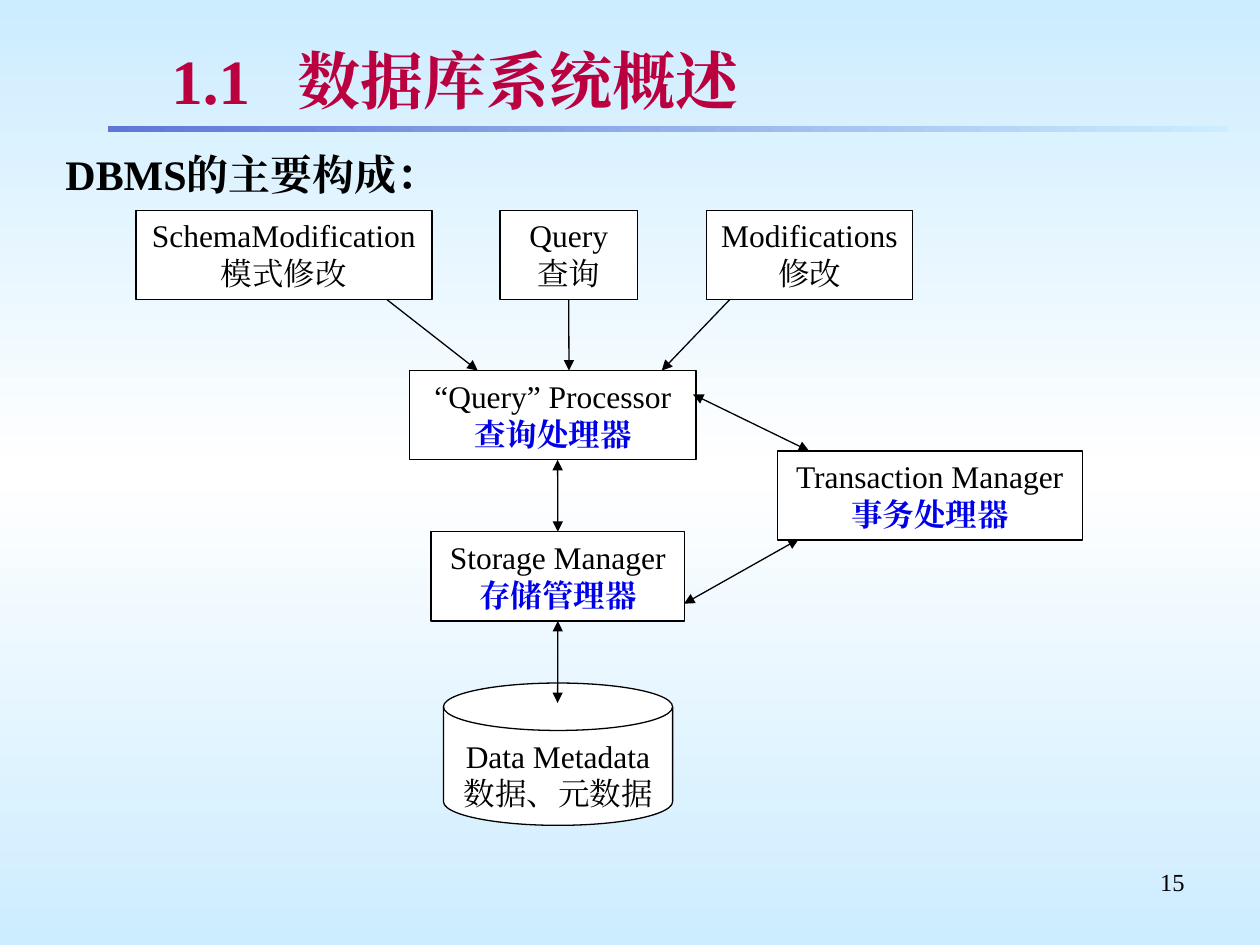
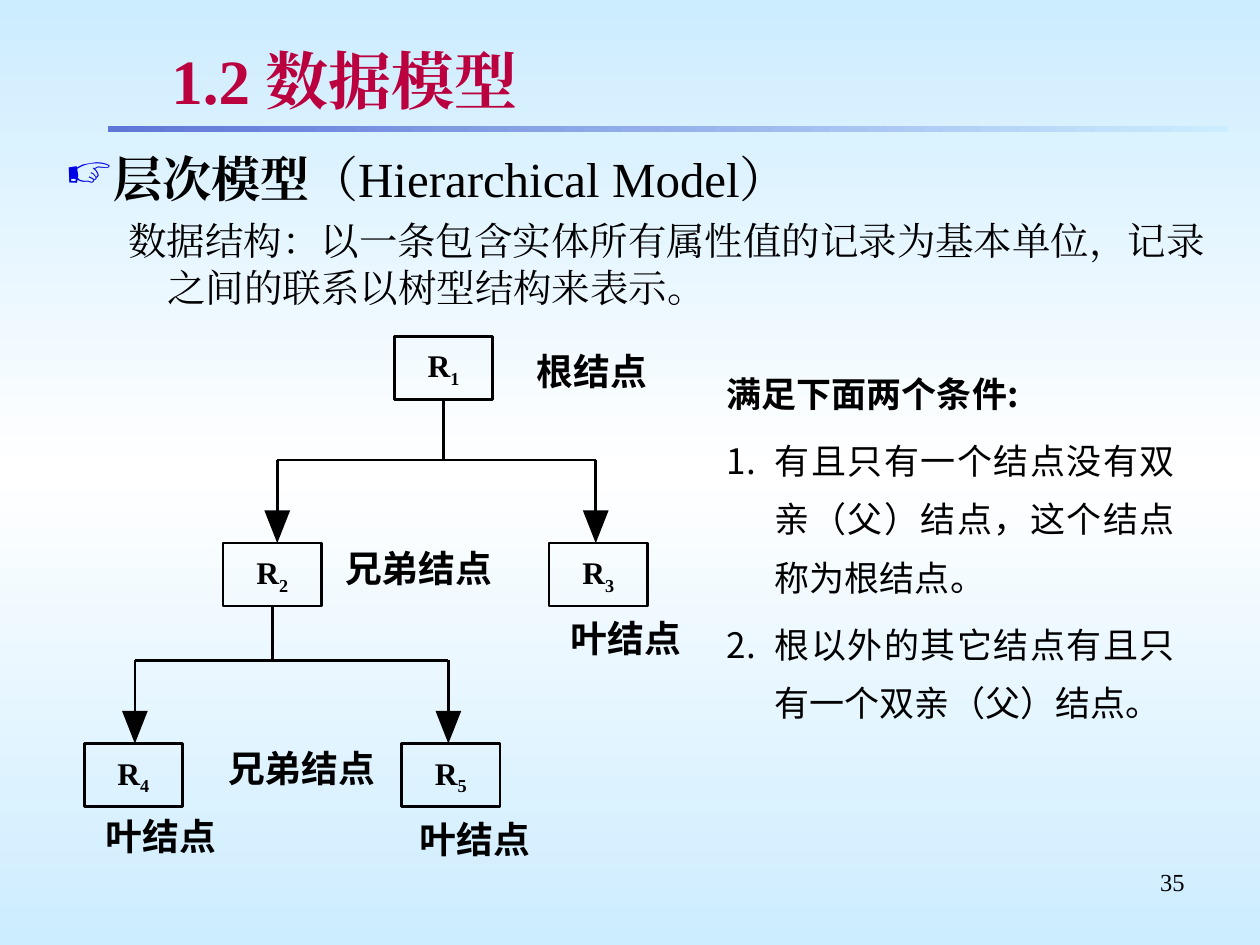
"""Build two database course slides: DBMS components and the hierarchical model."""
from lxml import etree
from pptx import Presentation
from pptx.dml.color import RGBColor
from pptx.enum import shapes, text
from pptx.oxml.ns import qn
from pptx.util import Cm, Pt

SERIF, SANS = "Times New Roman", "Noto Sans CJK SC"
BLACK, WHITE, BLUE, RED = "000000", "FFFFFF", "0000E8", "BA003E"
SKY, INDIGO = "CCECFF", "5F76D7"
RECT = shapes.MSO_SHAPE.RECTANGLE
DISK = shapes.MSO_SHAPE.FLOWCHART_MAGNETIC_DISK
ALIGN, ANCHOR = text.PP_ALIGN, text.MSO_ANCHOR


def rgb(code):
    """Turn a hex string into a colour."""
    return RGBColor.from_string(code)


def sub(root, tag, **attrs):
    """Append a DrawingML element and return it."""
    return etree.SubElement(root, qn("a:" + tag), attrs)


def grade(fill, root, angle, colors):
    """Fill with evenly spaced gradient stops."""
    fill.gradient()
    fill.gradient_angle = angle
    stops = next(root.iter(qn("a:gsLst")))
    for stop in list(stops):
        stops.remove(stop)
    for i, code in enumerate(colors):
        stop = sub(stops, "gs", pos=str(100000 * i // (len(colors) - 1)))
        sub(stop, "srgbClr", val=code)


def style(para, size, color=BLACK, bold=False, face=SERIF, align=None):
    """Set the alignment and font of a paragraph."""
    para.alignment = align
    font = para.font
    font.size, font.bold, font.name = Pt(size), bold, face
    font.color.rgb = rgb(color)
    props = para._p.get_or_add_pPr().find(qn("a:defRPr"))
    sub(props, "ea", typeface=face)


def hang(para, left, indent):
    """Give a paragraph a left margin and hanging indent, and return its properties."""
    props = para._p.get_or_add_pPr()
    props.set("marL", str(Cm(left)))
    props.set("indent", str(-Cm(indent)))
    return props


def add_box(slide, x, y, w, h, anchor=ANCHOR.TOP, pad=True):
    """Add a wrapping text box and return its frame."""
    frame = slide.shapes.add_textbox(Cm(x), Cm(y), Cm(w), Cm(h)).text_frame
    frame.word_wrap = True
    frame.vertical_anchor = anchor
    if not pad:
        frame.margin_left = frame.margin_right = 0
        frame.margin_top = frame.margin_bottom = 0
    return frame


def add_node(slide, x, y, w, h, kind=RECT, fill=WHITE, width=0.75):
    """Add an outlined shape."""
    node = slide.shapes.add_shape(kind, Cm(x), Cm(y), Cm(w), Cm(h))
    node.shadow.inherit = False
    if fill:
        node.fill.solid()
        node.fill.fore_color.rgb = rgb(fill)
    else:
        node.fill.background()
    node.line.color.rgb = rgb(BLACK)
    node.line.width = Pt(width)
    return node


def add_part(slide, x, y, w, name, label, key=False, h=1.8, kind=RECT):
    """Add a system part with its English and Chinese names."""
    part = add_node(slide, x, y, w, h, kind)
    frame = part.text_frame
    frame.vertical_anchor = ANCHOR.TOP
    frame.text = name + "\n" + label
    first, second = frame.paragraphs
    style(first, 18, align=ALIGN.CENTER)
    style(second, 18, BLUE if key else BLACK, key, align=ALIGN.CENTER)
    return part


def add_line(slide, x1, y1, x2, y2, head=False, tail=False, width=0.75):
    """Add a straight line with optional arrowheads."""
    line = slide.shapes.add_connector(
        shapes.MSO_CONNECTOR.STRAIGHT, Cm(x1), Cm(y1), Cm(x2), Cm(y2))
    line.line.color.rgb = rgb(BLACK)
    line.line.width = Pt(width)
    props = line._element.spPr
    for tag, shown in (("headEnd", head), ("tailEnd", tail)):
        if shown:
            sub(props.find(qn("a:ln")), tag, type="triangle")
    sub(props, "effectLst")
    return line


def add_record(slide, x, y, digit):
    """Add a tree record R with a subscript number."""
    node = add_node(slide, x, y, 1.98, 1.27, fill=None, width=1.5)
    node.text_frame.word_wrap = False
    para = node.text_frame.paragraphs[0]
    style(para, 18, bold=True, align=ALIGN.CENTER)
    para.add_run().text = "R"
    low = para.add_run()
    low.text = digit
    low._r.get_or_add_rPr().set("baseline", "-25000")
    return node


def add_tip(slide, x, y):
    """Add a solid arrow tip pointing down at a place."""
    left, right, top = Cm(x - 0.26), Cm(x + 0.26), Cm(y - 0.66)
    path = slide.shapes.build_freeform(left, top)
    path.add_line_segments([(Cm(x), Cm(y)), (right, top)])
    tip = path.convert_to_shape()
    tip.shadow.inherit = False
    tip.fill.solid()
    tip.fill.fore_color.rgb = rgb(BLACK)
    tip.line.fill.background()


def add_fork(slide, parent, bus, drops, end):
    """Join a parent record to its children through a horizontal bus."""
    mid = (parent.left + parent.width / 2) / Cm(1)
    base = (parent.top + parent.height) / Cm(1)
    trunk = add_line(slide, mid, base, mid, bus, width=1.5)
    trunk.begin_connect(parent, 2)
    add_line(slide, drops[0], bus, drops[-1], bus, width=1.5)
    for x in drops:
        add_line(slide, x, bus, x, end - 0.6, width=1.5)
        add_tip(slide, x, end)


def add_label(slide, x, y, words):
    """Add a bold label beside a record."""
    frame = add_box(slide, x, y, 0.76 * len(words), 0.89, ANCHOR.MIDDLE, False)
    frame.text = words
    style(frame.paragraphs[0], 21, bold=True, face=SANS)


def set_theme(deck):
    """Put the background on the master and the bar on the title-only layout."""
    master, layout = deck.slide_master, deck.slide_layouts[5]
    grade(master.background.fill, master._element, 270, (SKY, WHITE, SKY))
    slide = deck.slides.add_slide(layout)
    bar = add_node(slide, 2.18, 2.54, 22.58, 0.13)
    grade(bar.fill, bar._element, 0, (INDIGO, SKY))
    bar.line.fill.background()
    layout.shapes._spTree.append(bar._element)
    return slide


def add_frame(slide, heading, number):
    """Set the title and the page number."""
    title = slide.shapes.title
    title.left, title.top, title.width, title.height = map(Cm, (3.2, 0.74, 20.93, 1.7))
    frame = title.text_frame
    frame.margin_top = frame.margin_bottom = Cm(0.1)
    frame.vertical_anchor = ANCHOR.MIDDLE
    frame.text = heading
    para = frame.paragraphs[0]
    tabs = sub(para._p.get_or_add_pPr(), "tabLst")
    sub(tabs, "tab", pos=str(Cm(2.54)), algn="l")
    style(para, 36, RED, True, align=ALIGN.LEFT)
    for run in para.runs:
        glow = sub(run._r.get_or_add_rPr(), "effectLst")
        cast = sub(glow, "outerShdw", dist="38100", dir="2700000", algn="tl")
        sub(cast, "srgbClr", val="C0C0C0")
    page = add_box(slide, 18.21, 17.35, 5.92, 1.32)
    page.text = number
    style(page.paragraphs[0], 14, align=ALIGN.RIGHT)


def draw_system(slide):
    """Draw the parts of a DBMS and how they are joined."""
    add_frame(slide, "1.1\t数据库系统概述", "15")
    frame = add_box(slide, 1.07, 2.86, 23.5, 1.3)
    frame.text = "DBMS的主要构成："
    style(frame.paragraphs[0], 24, bold=True)

    add_part(slide, 2.74, 4.24, 5.97, "SchemaModification", "模式修改")
    query = add_part(slide, 10.08, 4.24, 2.77, "Query", "查询")
    add_part(slide, 14.25, 4.24, 4.14, "Modifications", "修改")
    add_part(slide, 8.26, 7.47, 5.77, "“Query” Processor", "查询处理器", True)
    store = add_part(slide, 8.69, 10.72, 5.11, "Storage Manager", "存储管理器", True)
    add_part(slide, 15.67, 9.09, 6.15, "Transaction Manager", "事务处理器", True)
    add_part(slide, 8.94, 13.77, 4.62, "Data Metadata", "数据、元数据", h=2.87, kind=DISK)

    add_line(slide, 7.8, 6.04, 9.63, 7.47, tail=True)
    add_line(slide, 11.47, 6.04, 11.47, 7.47, tail=True).begin_connect(query, 2)
    add_line(slide, 14.71, 6.04, 13.34, 7.47, tail=True)
    add_line(slide, 11.24, 9.27, 11.24, 10.72, True, True).end_connect(store, 0)
    add_line(slide, 11.24, 12.52, 11.24, 14.17, True, True).begin_connect(store, 2)
    add_line(slide, 13.97, 7.95, 16.31, 9.09, True, True)
    add_line(slide, 16.1, 10.87, 13.79, 12.17, True, True)


def add_intro(slide):
    """Add the bulleted model name and its data structure."""
    frame = add_box(slide, 1.07, 2.86, 23.5, 3.9)
    head, body = frame.paragraphs[0], frame.add_paragraph()
    props = hang(head, 0.97, 0.97)
    sub(sub(props, "buClr"), "srgbClr", val=BLUE)
    sub(props, "buSzPct", val="95000")
    sub(props, "buChar", char="☞")
    style(head, 28, bold=True)
    head.add_run().text = "层次模型"
    name = head.add_run()
    name.text = "（Hierarchical Model）"
    name.font.bold = False
    body.text = "数据结构：以一条包含实体所有属性值的记录为基本单位，记录之间的联系以树型结构来表示。"
    hang(body, 2.06, 0.79)
    body.space_before = Pt(6)
    style(body, 22)


def add_rules(slide):
    """Add the two numbered conditions."""
    frame = add_box(slide, 14.4, 7.06, 9.53, 10.16)
    frame.text = "\n".join((
        "满足下面两个条件:",
        "有且只有一个结点没有双亲（父）结点，这个结点称为根结点。",
        "根以外的其它结点有且只有一个双亲（父）结点。"))
    for i, para in enumerate(frame.paragraphs):
        para.line_spacing = Pt(33.3)
        if i:
            para.space_before = Pt(5)
            sub(hang(para, 0.97, 0.97), "buAutoNum", type="arabicPeriod")
        style(para, 20, bold=not i, face=SANS, align=ALIGN.JUSTIFY)


def draw_tree(slide):
    """Draw the hierarchical model as a tree of records."""
    add_frame(slide, "1.2 数据模型", "35")
    add_intro(slide)
    places = ((7.95, 6.78), (4.5, 10.95), (11.07, 10.95), (1.7, 14.99), (8.1, 14.99))
    nodes = [add_record(slide, x, y, str(i)) for i, (x, y) in enumerate(places, 1)]
    add_fork(slide, nodes[0], 9.27, (5.59, 12.01), 10.95)
    add_fork(slide, nodes[1], 13.31, (2.72, 9.04), 14.99)
    for x, y, words in (
            (10.82, 7.04, "根结点"), (6.96, 11, "兄弟结点"), (11.51, 12.42, "叶结点"),
            (4.6, 15.04, "兄弟结点"), (2.13, 16.41, "叶结点"), (8.46, 16.46, "叶结点")):
        add_label(slide, x, y, words)
    add_rules(slide)


def main():
    """Build and save the deck."""
    deck = Presentation()
    deck.slide_width, deck.slide_height = Cm(25.4), Cm(19.05)
    draw_system(set_theme(deck))
    draw_tree(deck.slides.add_slide(deck.slide_layouts[5]))
    deck.save("out.pptx")


if __name__ == "__main__":
    main()
